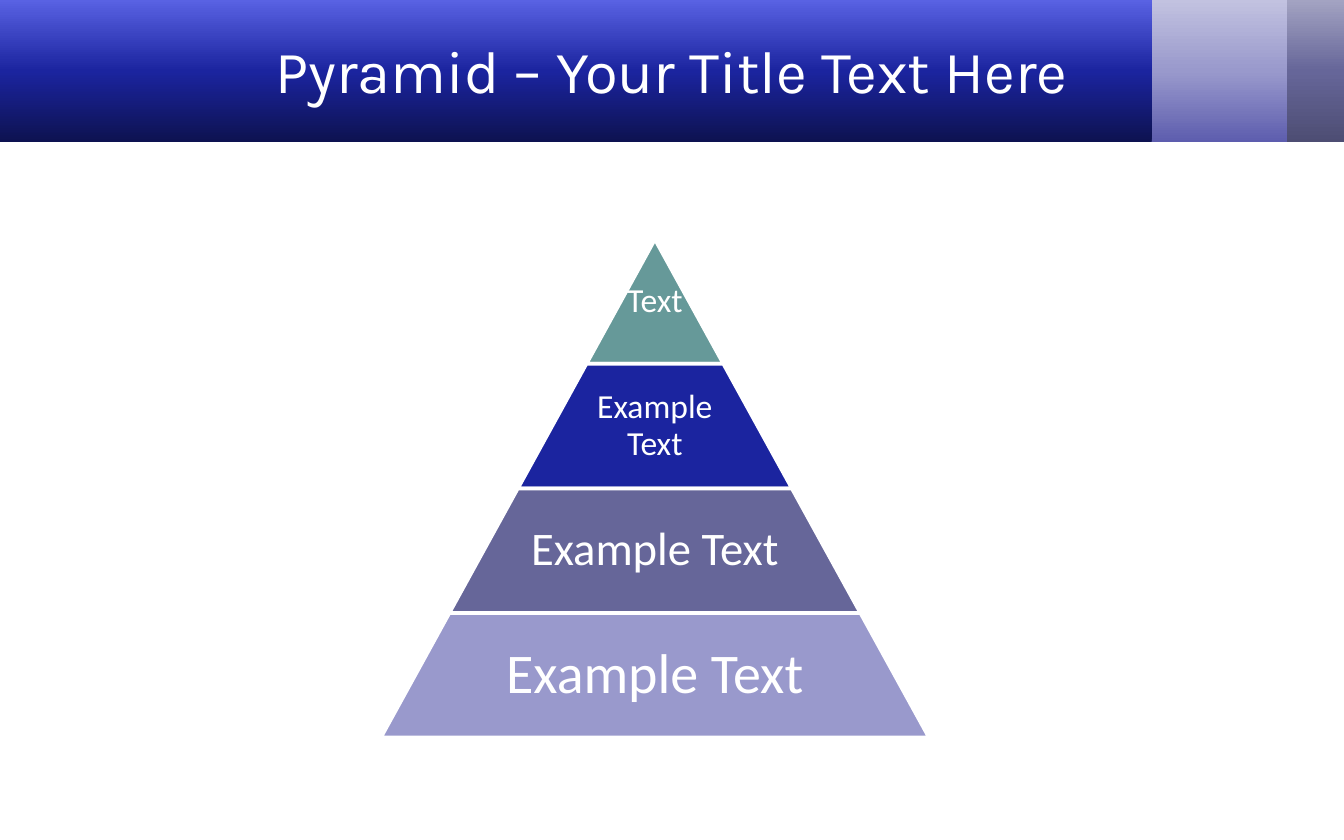
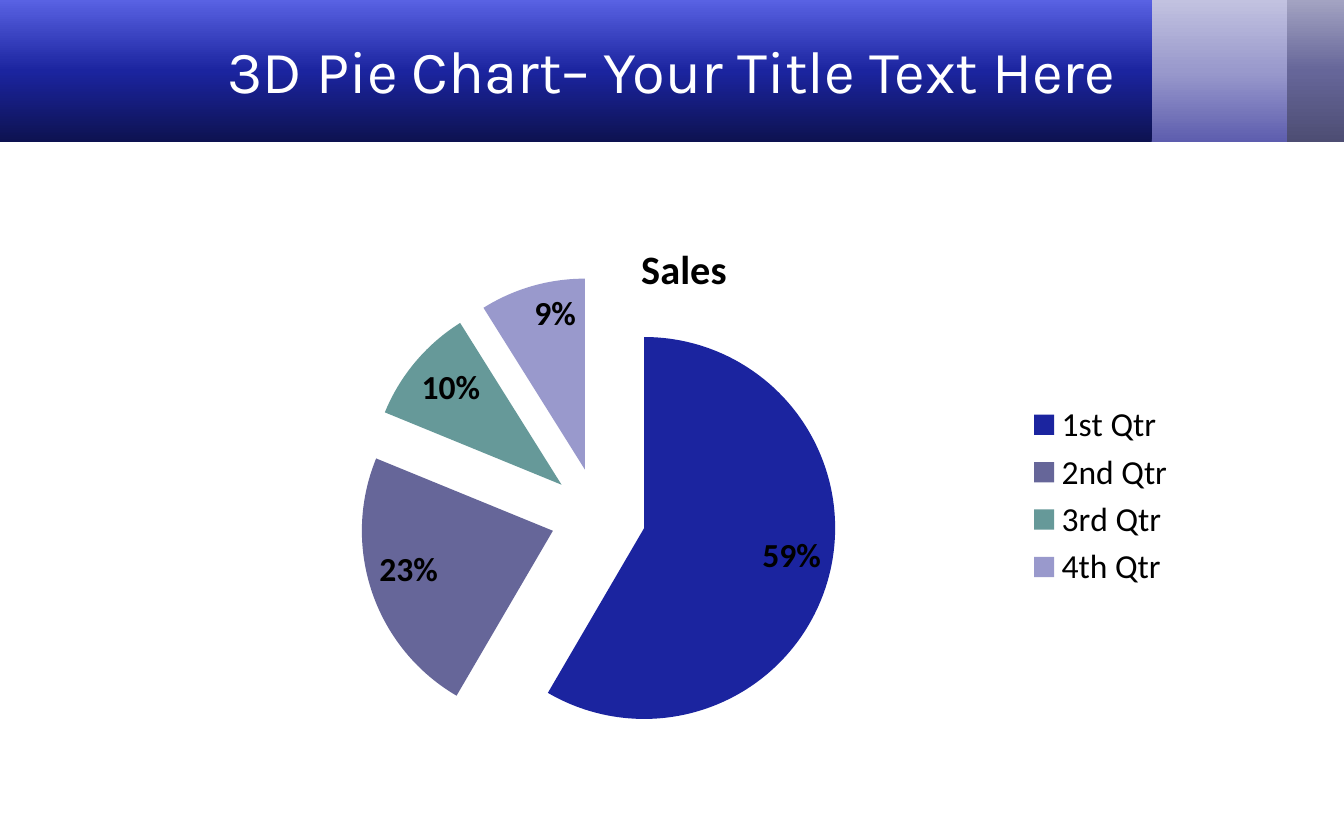
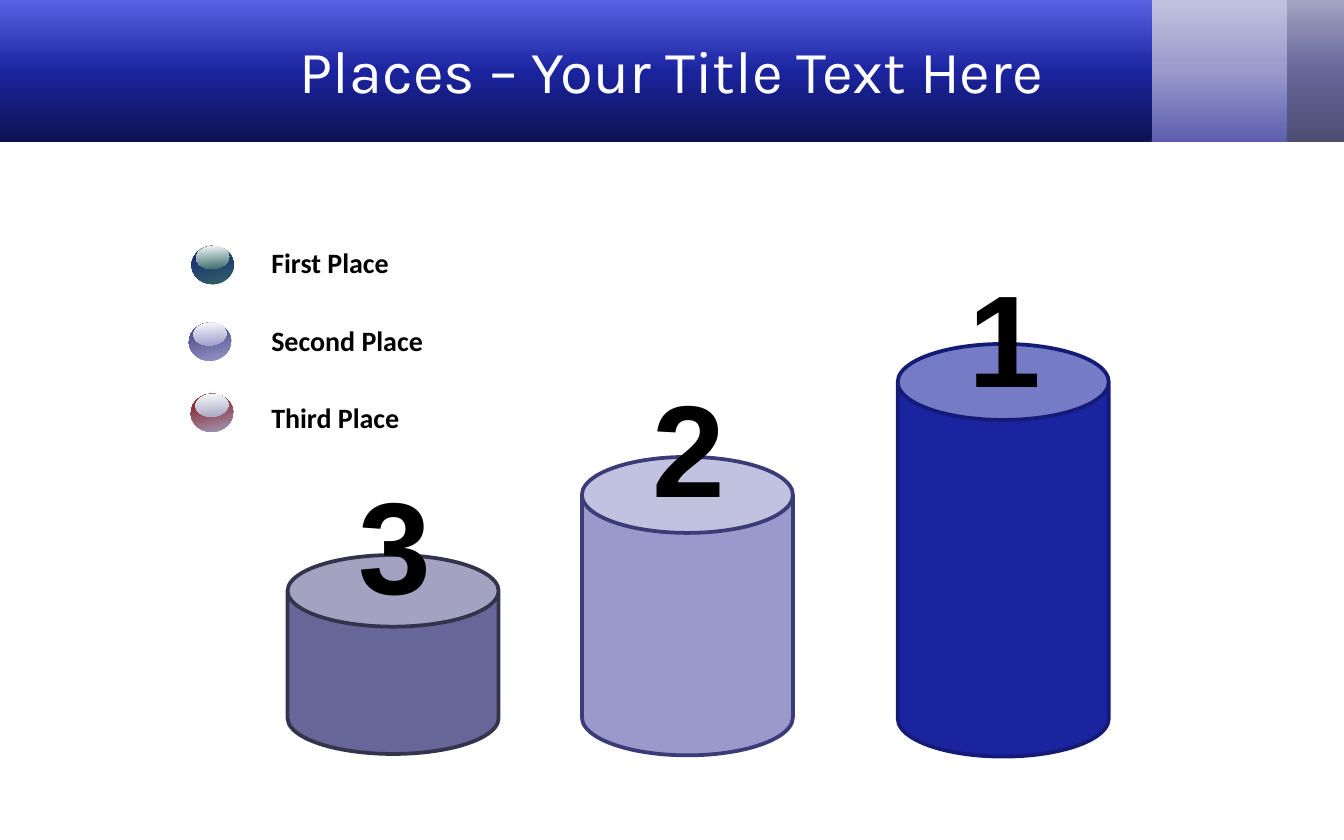
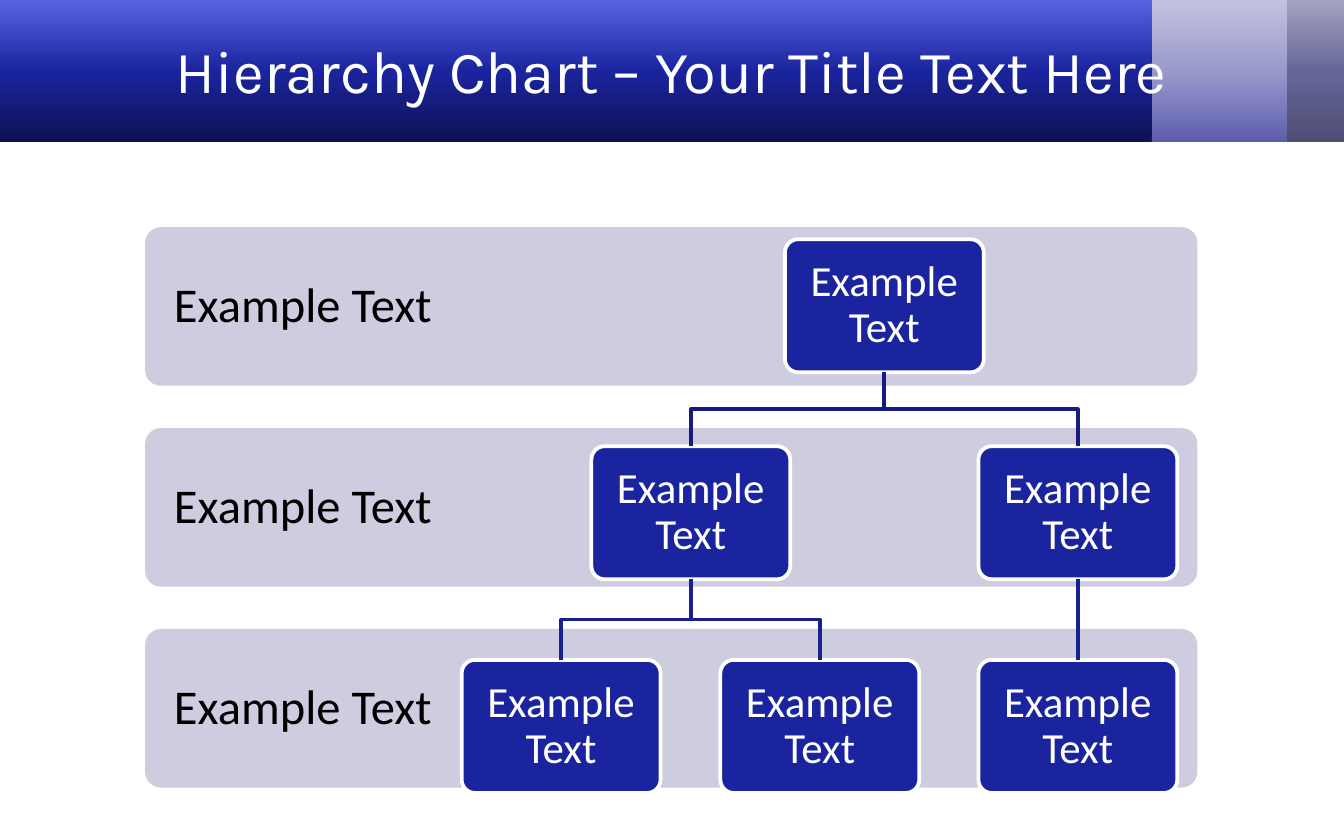
from dataclasses import dataclass
from typing import NamedTuple, Optional

from lxml import etree
from pptx import Presentation
from pptx.chart.data import CategoryChartData
from pptx.dml.color import RGBColor
from pptx.enum.chart import XL_CHART_TYPE, XL_LABEL_POSITION, XL_LEGEND_POSITION
from pptx.enum.shapes import MSO_CONNECTOR, MSO_SHAPE
from pptx.enum.text import MSO_ANCHOR, PP_ALIGN
from pptx.oxml.ns import qn
from pptx.util import Inches, Pt

RECT = MSO_SHAPE.RECTANGLE
ROUNDED = MSO_SHAPE.ROUNDED_RECTANGLE
TRAPEZOID = MSO_SHAPE.TRAPEZOID
CAN = MSO_SHAPE.CAN
OVAL = MSO_SHAPE.OVAL
STRAIGHT = MSO_CONNECTOR.STRAIGHT
PIE = XL_CHART_TYPE.PIE
INSIDE_END = XL_LABEL_POSITION.INSIDE_END
LEGEND_RIGHT = XL_LEGEND_POSITION.RIGHT
LEFT, CENTER = PP_ALIGN.LEFT, PP_ALIGN.CENTER
TOP, MIDDLE = MSO_ANCHOR.TOP, MSO_ANCHOR.MIDDLE
BOTTOM_SITE, TOP_SITE = 2, 0

BLACK = RGBColor(0x00, 0x00, 0x00)
WHITE = RGBColor(0xFF, 0xFF, 0xFF)
BLUE = RGBColor(0x1B, 0x24, 0x9F)
BLUE_DEEP = RGBColor(0x0D, 0x12, 0x50)
BLUE_BRIGHT = RGBColor(0x59, 0x62, 0xE3)
BLUE_EDGE = RGBColor(0x14, 0x1B, 0x76)
BLUE_LINK = RGBColor(0x16, 0x1D, 0x7F)
BLUE_LINK_LOW = RGBColor(0x19, 0x21, 0x90)
SLATE = RGBColor(0x66, 0x66, 0x99)
SLATE_DEEP = RGBColor(0x4D, 0x4D, 0x73)
SLATE_LIGHT = RGBColor(0xA3, 0xA3, 0xC2)
SLATE_EDGE = RGBColor(0x33, 0x33, 0x4C)
SLATE_PALE = RGBColor(0xCD, 0xCD, 0xDF)
LILAC = RGBColor(0x99, 0x99, 0xCC)
LILAC_DEEP = RGBColor(0x5D, 0x5D, 0xAE)
LILAC_LIGHT = RGBColor(0xC2, 0xC2, 0xE0)
LILAC_EDGE = RGBColor(0x3B, 0x3B, 0x77)
TEAL = RGBColor(0x66, 0x99, 0x99)
TEAL_DEEP = RGBColor(0x33, 0x66, 0x66)
MAROON = RGBColor(0x80, 0x00, 0x00)

SLIDE_W, SLIDE_H = Inches(10), Inches(6.25)
CELL = SLIDE_W / 100
BODY_FONT, TITLE_FONT, NUMBER_FONT = "Calibri", "Karla", "Arial"
SAMPLE = "Example Text"


class Box(NamedTuple):
    col: float
    row: float
    cols: float
    rows: float

    def emu(self) -> list[int]:
        return [grid(v) for v in self]


@dataclass
class Style:
    size: float
    color: RGBColor
    font: str = BODY_FONT
    bold: bool = False
    align: PP_ALIGN = CENTER
    anchor: MSO_ANCHOR = MIDDLE
    spacing: float = 1.0
    insets: tuple[float, float, float, float] = (1, 0.5, 1, 0.5)


@dataclass
class Band:
    box: Box
    stops: tuple[RGBColor, ...]


@dataclass
class Level:
    text: str
    color: RGBColor
    size: float
    text_share: float


@dataclass
class Podium:
    number: str
    box: Box
    fill: RGBColor
    edge: RGBColor
    number_row: float


@dataclass
class Place:
    text: str
    text_row: float
    ball_col: float
    ball_row: float
    low: RGBColor
    high: RGBColor
    gloss: RGBColor


@dataclass
class Node:
    level: int
    center: float
    parent: Optional[int] = None


BANDS = [
    Band(Box(94.3, 0, 5.8, 10.6), (SLATE_DEEP, SLATE, SLATE_LIGHT)),
    Band(Box(85.3, 0, 10.5, 10.6), (LILAC_DEEP, LILAC, LILAC_LIGHT)),
    Band(Box(0, 0, 85.7, 10.6), (BLUE_DEEP, BLUE, BLUE_BRIGHT)),
]
LEVELS = [
    Level("Text", TEAL, 18, 1),
    Level(SAMPLE, BLUE, 18, 0.65),
    Level(SAMPLE, SLATE, 25, 0.65),
    Level(SAMPLE, LILAC, 30, 0.65),
]
QUARTERS = {"1st Qtr": (59, BLUE), "2nd Qtr": (23, SLATE),
            "3rd Qtr": (10, TEAL), "4th Qtr": (9, LILAC)}
PODIUMS = [
    Podium("2", Box(43.3, 34, 15.7, 22.2), LILAC, LILAC_EDGE, 26.8),
    Podium("3", Box(21.4, 41.3, 15.7, 14.8), SLATE, SLATE_EDGE, 34),
    Podium("1", Box(66.8, 25.6, 15.7, 30.7), BLUE, BLUE_EDGE, 18.6),
]
PLACES = [
    Place("First Place", 17.3, 14.25, 18.3, TEAL_DEEP, BLUE_EDGE, TEAL_DEEP),
    Place("Second Place", 23.1, 14.05, 24, LILAC, LILAC_EDGE, LILAC),
    Place("Third Place", 28.8, 14.2, 29.3, SLATE_LIGHT, MAROON, SLATE_LIGHT),
]
NODES = [Node(0, 65.8), Node(1, 51.4, 0), Node(1, 80.2, 0),
         Node(2, 41.75, 1), Node(2, 61, 1), Node(2, 80.2, 2)]
NODE_ROWS = [17.8, 33.2, 49.1]
LINK_COLORS = [BLUE_LINK, BLUE_LINK_LOW]

TITLE_STYLE = Style(32, WHITE, TITLE_FONT)
NUMBER_STYLE = Style(70, BLACK, NUMBER_FONT, True, anchor=TOP)
PLACE_STYLE = Style(15, BLACK, bold=True, align=LEFT, insets=(1, 1, 1, 0.5))
ROW_STYLE = Style(26, BLACK, spacing=0.9, insets=(2, 2, 2, 2))
NODE_STYLE = Style(23, WHITE, spacing=0.9, insets=(1, 1, 1, 1))


def grid(cells: float) -> int:
    return round(cells * CELL)


def write(sp, text: str, style: Style) -> None:
    tf = sp.text_frame
    tf.word_wrap = True
    tf.vertical_anchor = style.anchor
    (tf.margin_left, tf.margin_top,
     tf.margin_right, tf.margin_bottom) = map(grid, style.insets)
    p = tf.paragraphs[0]
    p.text = text
    p.alignment = style.align
    p.line_spacing = style.spacing
    p.font.name = style.font
    p.font.size = Pt(style.size)
    p.font.bold = style.bold
    p.font.color.rgb = style.color


def add_text(slide, box: Box, text: str, style: Style) -> None:
    write(slide.shapes.add_textbox(*box.emu()), text, style)


def add_shape(slide, kind, box: Box, fill: Optional[RGBColor] = None,
              edge: Optional[RGBColor] = None, adj: Optional[float] = None):
    sp = slide.shapes.add_shape(kind, *box.emu())
    sp.shadow.inherit = False
    if fill is not None:
        sp.fill.solid()
        sp.fill.fore_color.rgb = fill
    if edge is None:
        sp.line.fill.background()
    else:
        sp.line.color.rgb = edge
        sp.line.width = Pt(2)
    if adj is not None:
        sp.adjustments[0] = adj
    return sp


def fill_gradient(sp, stops: tuple[RGBColor, ...], angle: float) -> None:
    sp.fill.gradient()
    sp.fill.gradient_angle = 360 - angle
    stop_list = sp._element.spPr.find(qn("a:gradFill")).find(qn("a:gsLst"))
    for old in list(stop_list):
        stop_list.remove(old)
    for i, color in enumerate(stops):
        pos = 100000 * i // (len(stops) - 1)
        gs = etree.SubElement(stop_list, qn("a:gs"), pos=str(pos))
        etree.SubElement(gs, qn("a:srgbClr"), val=str(color))


def add_slide(prs, title: str):
    slide = prs.slides.add_slide(prs.slide_layouts[6])
    for band in BANDS:
        fill_gradient(add_shape(slide, RECT, band.box), band.stops, 270)
    add_text(slide, Box(5, 0.8, 90, 8.8), title, TITLE_STYLE)
    return slide


def build_pyramid(prs) -> None:
    slide = add_slide(prs, "Pyramid – Your Title Text Here")
    center, top, step, rows = 48.73, 17.8, 10.2, 9.27
    for i, level in enumerate(LEVELS):
        cols, row = step * (i + 1), top + rows * i
        add_shape(slide, TRAPEZOID, Box(center - cols / 2, row, cols, rows),
                  level.color, WHITE, 0.55)
        text_cols = cols * level.text_share
        add_text(slide, Box(center - text_cols / 2, row, text_cols, rows), level.text,
                 Style(level.size, WHITE, spacing=0.9, insets=(0.3, 0.3, 0.3, 0.3)))


def place_plot(chart, **shares: float) -> None:
    plot_area = chart._chartSpace.chart.plotArea
    for old in plot_area.findall(qn("c:layout")):
        plot_area.remove(old)
    layout = etree.Element(qn("c:layout"))
    manual = etree.SubElement(layout, qn("c:manualLayout"))
    settings = {"layoutTarget": "inner", "xMode": "edge", "yMode": "edge", **shares}
    for name, value in settings.items():
        etree.SubElement(manual, qn(f"c:{name}"), val=str(value))
    plot_area.insert(0, layout)


def build_pie(prs) -> None:
    slide = add_slide(prs, "3D Pie Chart– Your Title Text Here")
    data = CategoryChartData()
    data.categories = list(QUARTERS)
    data.add_series("Sales", [value for value, _ in QUARTERS.values()])
    box = Box(13.3, 16, 75.2, 41.8)
    chart = slide.shapes.add_chart(PIE, *box.emu(), data).chart
    chart.font.name = BODY_FONT
    chart.font.size = Pt(18)
    chart.font.color.rgb = BLACK

    chart.has_title = True
    p = chart.chart_title.text_frame.paragraphs[0]
    p.text = "Sales"
    p.font.name = BODY_FONT
    p.font.size = Pt(21.6)
    p.font.bold = True
    p.font.color.rgb = BLACK

    chart.has_legend = True
    chart.legend.position = LEGEND_RIGHT
    chart.legend.include_in_layout = False

    plot = chart.plots[0]
    plot.vary_by_categories = True
    series = plot.series[0]
    for i, (_, color) in enumerate(QUARTERS.values()):
        fill = series.points[i].format.fill
        fill.solid()
        fill.fore_color.rgb = color
    explosion = etree.Element(qn("c:explosion"), val="25")
    series._element.find(qn("c:dPt")).addprevious(explosion)

    labels = series.data_labels
    labels.show_value = True
    labels.number_format = '0"%"'
    labels.number_format_is_linked = False
    labels.position = INSIDE_END
    labels.font.name = BODY_FONT
    labels.font.size = Pt(18)
    labels.font.bold = True
    labels.font.color.rgb = BLACK
    place_plot(chart, x=0.01, y=0.11, w=0.81, h=0.85)


def add_ball(slide, place: Place) -> None:
    col, row = place.ball_col, place.ball_row
    for box, stops, angle in (
        (Box(col, row, 3.15, 2.85), (place.low, place.high), 260),
        (Box(col + 0.35, row, 2.45, 1.7), (WHITE, place.gloss), 90),
    ):
        sp = add_shape(slide, OVAL, box)
        fill_gradient(sp, stops, angle)
        sp.rotation = 355.8


def build_places(prs) -> None:
    slide = add_slide(prs, "Places – Your Title Text Here")
    for podium in PODIUMS:
        add_shape(slide, CAN, podium.box, podium.fill, podium.edge, 0.36)
    for podium in PODIUMS:
        add_text(slide, Box(podium.box.col + 2.5, podium.number_row, 10.9, 12.8),
                 podium.number, NUMBER_STYLE)
    for place in PLACES:
        add_text(slide, Box(19.2, place.text_row, 18.9, 4), place.text, PLACE_STYLE)
        add_ball(slide, place)


def add_link(slide, parent, child, color: RGBColor) -> None:
    x1, y1 = parent.left + parent.width // 2, parent.top + parent.height
    x2, y2 = child.left + child.width // 2, child.top
    if x1 == x2:
        link = slide.shapes.add_connector(STRAIGHT, x1, y1, x2, y2)
        link.begin_connect(parent, BOTTOM_SITE)
        link.end_connect(child, TOP_SITE)
        etree.SubElement(link._element.spPr, qn("a:effectLst"))
    else:
        bend = (y1 + y2) // 2
        path = slide.shapes.build_freeform(x1, y1)
        path.add_line_segments([(x1, bend), (x2, bend), (x2, y2)], close=False)
        link = path.convert_to_shape()
        link.shadow.inherit = False
        link.fill.background()
    link.line.color.rgb = color
    link.line.width = Pt(2)


def build_hierarchy(prs) -> None:
    slide = add_slide(prs, "Hierarchy Chart – Your Title Text Here")
    for i in range(len(NODE_ROWS)):
        row = 16.9 + 14.95 * i
        add_shape(slide, ROUNDED, Box(10.8, row, 78.3, 11.8), SLATE_PALE, adj=0.1)
        add_text(slide, Box(10.8, row, 23.5, 11.8), SAMPLE, ROW_STYLE)
    cols, rows = 14.8, 9.9
    boxes = []
    for node in NODES:
        box = Box(node.center - cols / 2, NODE_ROWS[node.level], cols, rows)
        sp = add_shape(slide, ROUNDED, box, BLUE, WHITE, 0.1)
        write(sp, SAMPLE, NODE_STYLE)
        boxes.append(sp)
    for node, sp in zip(NODES, boxes):
        if node.parent is not None:
            add_link(slide, boxes[node.parent], sp, LINK_COLORS[node.level - 1])


def main() -> None:
    prs = Presentation()
    prs.slide_width, prs.slide_height = SLIDE_W, SLIDE_H
    for build in (build_pyramid, build_pie, build_places, build_hierarchy):
        build(prs)
    prs.save("out.pptx")


if __name__ == "__main__":
    main()
